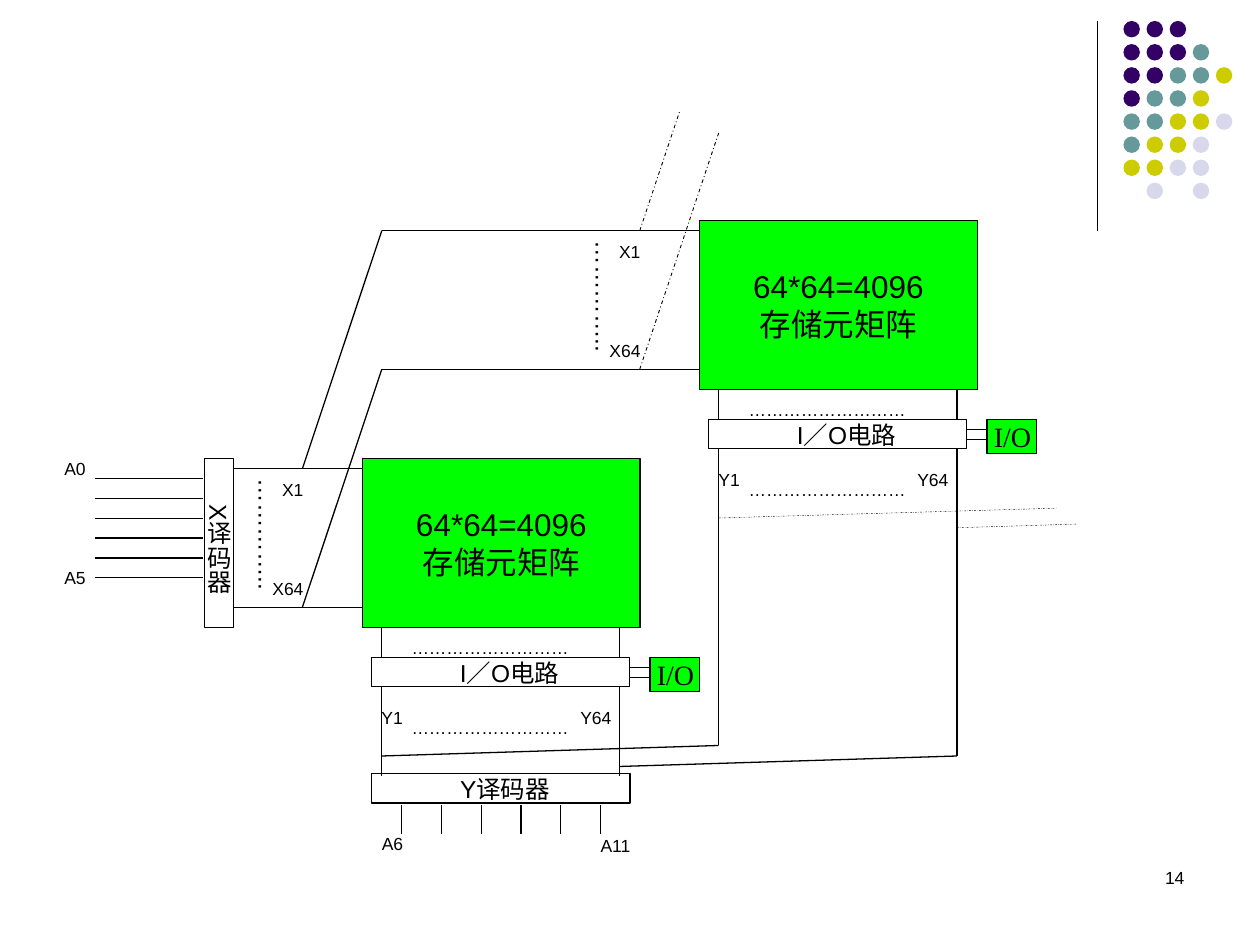
import dataclasses
import typing

import pptx
import pptx.dml.color
import pptx.enum.dml
import pptx.enum.shapes
import pptx.enum.text
import pptx.oxml.ns
import pptx.util

Pt = pptx.util.Pt
SHAPE = pptx.enum.shapes.MSO_SHAPE
ALIGN = pptx.enum.text.PP_ALIGN
ANCHOR = pptx.enum.text.MSO_ANCHOR
BLACK, GREEN = "000000", "00FF00"
DOT_COLORS = {"P": "330066", "T": "669999", "Y": "CCCC00", "L": "D8D8EC"}
DOT_ROWS = ["PPP", "PPPT", "PPTTY", "PTTY", "TTYYL", "TYYL", "YYLL", " L L"]


@dataclasses.dataclass
class Box:
    left: float
    top: float
    width: float
    height: float


@dataclasses.dataclass
class Style:
    size: float = 10
    font: str = "Arial"
    indent: float = 0
    vertical: bool = False
    align: ALIGN = ALIGN.LEFT


@dataclasses.dataclass
class Wire:
    x1: float
    y1: float
    x2: float
    y2: float
    weight: float = 0.75
    dashed: bool = False


@dataclasses.dataclass
class Bank:
    x: float
    y: float
    row_start: float
    column_ends: typing.Tuple[float, float]


CAPTION = Style(size=14, indent=50.5)
PORT = Style(size=16, font="Times New Roman", indent=4)
DOTS_DOWN = Style(size=14, vertical=True)


def rgb(code: str) -> pptx.dml.color.RGBColor:
    return pptx.dml.color.RGBColor.from_string(code)


def write(shape, text: str, style: Style) -> None:
    frame = shape.text_frame
    frame.word_wrap = True
    frame.vertical_anchor = ANCHOR.TOP
    frame.margin_left = frame.margin_right = 0
    frame.margin_top = frame.margin_bottom = 0
    frame.text = text
    if style.vertical:
        frame._txBody.bodyPr.set("vert", "eaVert")
    for paragraph in frame.paragraphs:
        paragraph.alignment = style.align
        paragraph.font.size = Pt(style.size)
        paragraph.font.name = style.font
        paragraph.font.color.rgb = rgb(BLACK)
        if style.indent:
            properties = paragraph._p.get_or_add_pPr()
            properties.set("marL", str(Pt(style.indent)))
            properties.set("indent", "0")


def add_label(slide, box: Box, text: str, style: Style = Style()) -> None:
    label = slide.shapes.add_textbox(
        Pt(box.left), Pt(box.top), Pt(box.width), Pt(box.height))
    write(label, text, style)


def add_block(slide, box: Box, fill: str = "", line: str = BLACK, kind=SHAPE.RECTANGLE):
    block = slide.shapes.add_shape(
        kind, Pt(box.left), Pt(box.top), Pt(box.width), Pt(box.height))
    block.shadow.inherit = False
    if fill:
        block.fill.solid()
        block.fill.fore_color.rgb = rgb(fill)
    else:
        block.fill.background()
    if line:
        block.line.color.rgb = rgb(line)
        block.line.width = Pt(0.75)
    else:
        block.line.fill.background()
    return block


def add_wire(slide, wire: Wire) -> None:
    connector = slide.shapes.add_connector(
        pptx.enum.shapes.MSO_CONNECTOR.STRAIGHT,
        Pt(wire.x1), Pt(wire.y1), Pt(wire.x2), Pt(wire.y2))
    connector.line.color.rgb = rgb(BLACK)
    connector.line.width = Pt(wire.weight)
    if wire.dashed:
        connector.line.dash_style = pptx.enum.dml.MSO_LINE.DASH_DOT
    connector._element.spPr.append(pptx.oxml.parse_xml(
        "<a:effectLst %s/>" % pptx.oxml.ns.nsdecls("a")))


def add_ornament(slide) -> None:
    add_wire(slide, Wire(627, 12, 627, 132))
    for row, pattern in enumerate(DOT_ROWS):
        for column, key in enumerate(pattern):
            if key in DOT_COLORS:
                box = Box(642 + 13.2 * column, 12 + 13.2 * row, 9.4, 9.4)
                add_block(slide, box, DOT_COLORS[key], "", SHAPE.OVAL)


def add_bank(slide, bank: Bank) -> None:
    x, y = bank.x, bank.y

    # Storage matrix
    matrix = add_block(slide, Box(x, y, 158.6, 96.5), GREEN)
    write(matrix, "64*64=4096\n存储元矩阵", Style(size=18, align=ALIGN.CENTER))
    matrix.text_frame.vertical_anchor = ANCHOR.MIDDLE

    # Row lines X1 to X64
    for row in (5.8, 85):
        add_wire(slide, Wire(bank.row_start, y + row, x, y + row))
    dots = add_block(slide, Box(x - 62, y + 11.5, 16.6, 68.4), line="")
    write(dots, "…………..", DOTS_DOWN)
    add_label(slide, Box(x - 46, y + 11.5, 17.3, 12.2), "X1")
    add_label(slide, Box(x - 51.5, y + 68.4, 22.5, 12.2), "X64")

    # Column lines Y1 to Y64
    for column, end in zip((10.8, 147), bank.column_ends):
        add_wire(slide, Wire(x + column, y + 96.5, x + column, y + 113.8))
        add_wire(slide, Wire(x + column, y + 130.4, x + column, end))
    for top in (102.2, 147.6):
        add_label(slide, Box(x + 28, y + top, 96.5, 12.2), "………………………")
    add_label(slide, Box(x + 10.8, y + 142, 17.3, 12.2), "Y1")
    add_label(slide, Box(x + 124.4, y + 142, 23, 12.2), "Y64")

    # Input and output circuit with its port
    circuit = add_block(slide, Box(x + 5, y + 113.8, 147.6, 16.6))
    write(circuit, "I／O电路", CAPTION)
    for level in (119.5, 125):
        add_wire(slide, Wire(x + 152.6, y + level, x + 164.2, y + level))
    port = add_block(slide, Box(x + 164.2, y + 113.8, 28.3, 19.3), GREEN)
    write(port, "I/O", PORT)


def add_decoders(slide) -> None:
    x_decoder = add_block(slide, Box(116.8, 262, 16.8, 96.5))
    write(x_decoder, "X译码器", Style(size=14, indent=26.5, vertical=True))
    for address in range(6):
        y = 273.4 + 11.36 * address
        add_wire(slide, Wire(54, y, 116, y))
    add_label(slide, Box(36.8, 262, 17.3, 12.2), "A0")
    add_label(slide, Box(36.8, 324, 17.3, 12.2), "A5")

    y_decoder = add_block(slide, Box(212.4, 442, 147.6, 16.8))
    write(y_decoder, "Y译码器", CAPTION)
    for address in range(6):
        x = 229.6 + 22.7 * address
        add_wire(slide, Wire(x, 460, x, 476.6))
    add_label(slide, Box(218.2, 476, 17.3, 12.2), "A6")
    add_label(slide, Box(343.2, 477, 22.5, 12.2), "A11")


def main() -> None:
    deck = pptx.Presentation()
    deck.slide_width, deck.slide_height = Pt(720), Pt(540)
    slide = deck.slides.add_slide(deck.slide_layouts[6])

    add_ornament(slide)
    add_decoders(slide)
    add_bank(slide, Bank(207.2, 262, 133.4, (443.5, 443.5)))
    add_bank(slide, Bank(399.8, 126, 218.2, (426, 432)))

    # Wires that join the banks, then those leading on to further banks
    for wire in (
        Wire(172.8, 347, 218.2, 211),
        Wire(172.8, 267.8, 218.2, 131.8),
        Wire(218, 432, 410.6, 426),
        Wire(354.2, 438, 546.8, 432),
        Wire(365.6, 211, 411, 75, 0.5, True),
        Wire(365.6, 131.8, 388.4, 63.6, 0.5, True),
        Wire(410.8, 296, 604, 290.4, 0.25, True),
        Wire(546.8, 301.6, 615, 299.5, 0.25, True),
    ):
        add_wire(slide, wire)

    # Slide number
    add_label(slide, Box(523.4, 495.4, 153.4, 28.8), "14", Style(align=ALIGN.RIGHT))
    deck.save("out.pptx")


if __name__ == "__main__":
    main()
